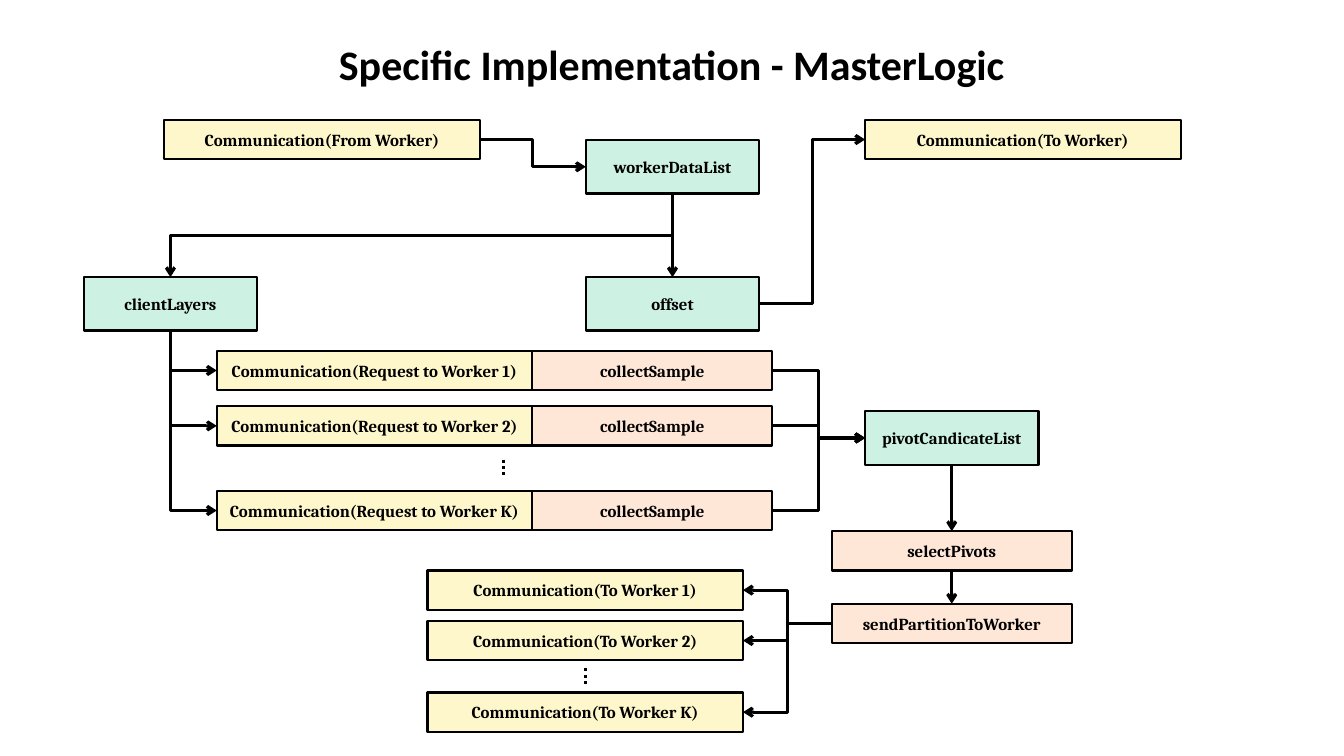
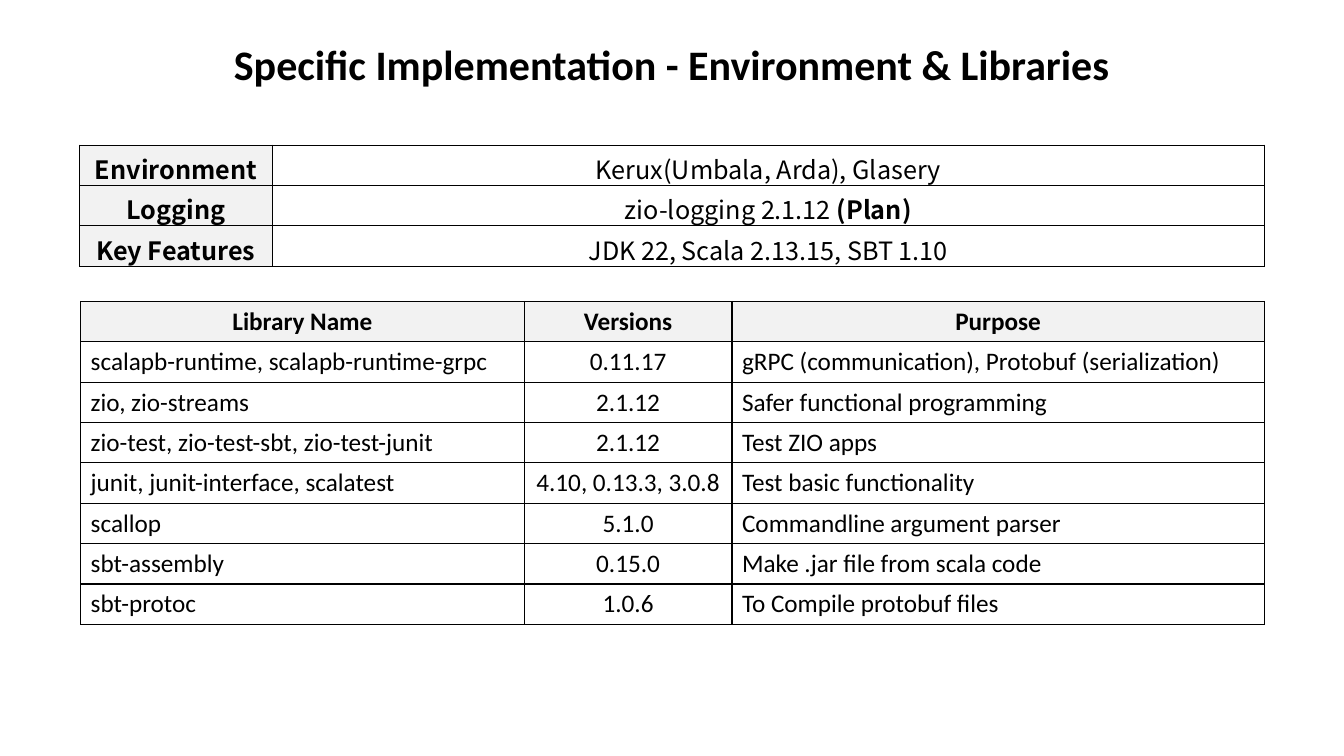
from pptx import Presentation
from pptx.dml.color import RGBColor
from pptx.enum.dml import MSO_LINE
from pptx.enum.shapes import MSO_CONNECTOR, MSO_SHAPE
from pptx.enum.text import MSO_ANCHOR, MSO_AUTO_SIZE, PP_ALIGN
from pptx.oxml.ns import qn
from pptx.util import Inches, Pt
from lxml.etree import SubElement

# Shared style
BLACK, HEADER_FILL = "000000", "F2F2F2"
TITLE_FONT, BOX_FONT, ENV_FONT = "Calibri", "Cambria", "Noto Sans CJK KR"
TOP, LEFT, BOTTOM, RIGHT = range(4)

# Box kinds: fill, width, height
KINDS = {
    "data": ("CDF2E4", 1.72, 0.53),
    "message": ("FFF7CC", 3.13, 0.39),
    "step": ("FFE7D8", 2.38, 0.39),
}

# Master logic diagram: text, kind, left, top
BOXES = [
    ("Communication(From Worker)", "message", 1.63, 1.19),
    ("Communication(To Worker)", "message", 8.58, 1.19),
    ("workerDataList", "data", 5.81, 1.39),
    ("clientLayers", "data", 0.83, 2.75),
    ("offset", "data", 5.81, 2.75),
    ("pivotCandicateList", "data", 8.58, 4.08),
    ("selectPivots", "step", 8.25, 5.27),
    ("sendPartitionToWorker", "step", 8.25, 5.99),
]
# Per worker: name, top of the request row, top of the reply row
WORKERS = [("1", 3.48, 5.66), ("2", 4.03, 6.16), ("K", 4.87, 6.87)]
REQUEST_LEFT, SAMPLE_LEFT, REPLY_LEFT = 2.15, 5.28, 4.24
# Dotted gaps between workers: x, top, bottom
ELLIPSES = [(4.99, 4.56, 4.73), (5.81, 6.63, 6.79)]
# Arrows: from, side, to, side
SIDE_ARROWS = [
    ("Communication(From Worker)", RIGHT, "workerDataList", LEFT),
    ("offset", RIGHT, "Communication(To Worker)", LEFT),
]
DOWN_ARROWS = [
    ("workerDataList", "offset"),
    ("pivotCandicateList", "selectPivots"),
    ("selectPivots", "sendPartitionToWorker"),
]

# Tables
ENVIRONMENT = [
    ("Environment", "Kerux(Umbala, Arda), Glasery"),
    ("Logging", ("zio-logging 2.1.12 ", "(Plan)")),
    ("Key Features", "JDK 22, Scala 2.13.15, SBT 1.10"),
]
LIBRARIES = [
    ("Library Name", "Versions", "Purpose"),
    ("scalapb-runtime, scalapb-runtime-grpc", "0.11.17",
     "gRPC (communication), Protobuf (serialization)"),
    ("zio, zio-streams", "2.1.12", "Safer functional programming"),
    ("zio-test, zio-test-sbt, zio-test-junit", "2.1.12", "Test ZIO apps"),
    ("junit, junit-interface, scalatest", "4.10, 0.13.3, 3.0.8", "Test basic functionality"),
    ("scallop", "5.1.0", "Commandline argument parser"),
    ("sbt-assembly", "0.15.0", "Make .jar file from scala code"),
    ("sbt-protoc", "1.0.6", "To Compile protobuf files"),
]


def color(value):
    return RGBColor.from_string(value)


def format_run(r, font, size, bold):
    r.font.name, r.font.size, r.font.bold = font, Pt(size), bold
    r.font.color.rgb = color(BLACK)


def add_slide(prs, title):
    s = prs.slides.add_slide(prs.slide_layouts[6])
    tf = s.shapes.add_textbox(Inches(0.55), Inches(0.33), Inches(12.23), Inches(0.6)).text_frame
    tf.word_wrap = True
    tf.auto_size = MSO_AUTO_SIZE.SHAPE_TO_FIT_TEXT
    tf.text = title
    p = tf.paragraphs[0]
    p.alignment = PP_ALIGN.CENTER
    format_run(p.runs[0], TITLE_FONT, 30, True)
    return s


def add_box(s, text, kind, left, top):
    fill, width, height = KINDS[kind]
    sp = s.shapes.add_shape(MSO_SHAPE.RECTANGLE, Inches(left), Inches(top),
                            Inches(width), Inches(height))
    sp.shadow.inherit = False
    sp.fill.solid()
    sp.fill.fore_color.rgb = color(fill)
    sp.line.color.rgb = color(BLACK)
    sp.line.width = Pt(1.5)
    tf = sp.text_frame
    tf.text = text
    tf.vertical_anchor = MSO_ANCHOR.MIDDLE
    p = tf.paragraphs[0]
    p.alignment = PP_ALIGN.CENTER
    format_run(p.runs[0], BOX_FONT, 12, True)
    return sp


def style_line(c):
    c.line.color.rgb = color(BLACK)
    c.line.width = Pt(2.25)
    SubElement(c._element.spPr, qn("a:effectLst"))


def add_arrow(s, start, start_side, end, end_side, kind=MSO_CONNECTOR.ELBOW):
    c = s.shapes.add_connector(kind, 0, 0, 0, 0)
    c.begin_connect(start, start_side)
    c.end_connect(end, end_side)
    style_line(c)
    SubElement(c.line._get_or_add_ln(), qn("a:tailEnd"), type="arrow")
    return c


def turn_down(c, preset):
    """Make an elbow leave its start downwards: a quarter turn of the preset."""
    dx, dy = c.end_x - c.begin_x, c.end_y - c.begin_y
    mid_x, mid_y = (c.begin_x + c.end_x) // 2, (c.begin_y + c.end_y) // 2
    c.width, c.height = dy, abs(dx)
    c.left, c.top = mid_x - dy // 2, mid_y - abs(dx) // 2
    xfrm = c._element.spPr.find(qn("a:xfrm"))
    xfrm.set("rot", "5400000")
    xfrm.set("flipH", "0")
    xfrm.set("flipV", "1" if dx > 0 else "0")
    c._element.spPr.find(qn("a:prstGeom")).set("prst", preset)


def add_table(s, rows, left, top, widths, row_height, font, is_header, is_centered):
    frame = s.shapes.add_table(len(rows), len(widths), Inches(left), Inches(top),
                               Inches(sum(widths)), Inches(row_height * len(rows)))
    table = frame.table
    table.first_row = table.horz_banding = False
    for column, width in zip(table.columns, widths):
        column.width = Inches(width)
    for i, row in enumerate(rows):
        for j, content in enumerate(row):
            cell = table.cell(i, j)
            header = is_header(i, j)
            p = cell.text_frame.paragraphs[0]
            p.alignment = PP_ALIGN.CENTER if is_centered(i, j) else PP_ALIGN.LEFT
            parts = (content,) if isinstance(content, str) else content
            for k, part in enumerate(parts):
                r = p.add_run()
                r.text = part
                format_run(r, font, 18, header or k > 0)
            add_borders(cell)
            if header:
                cell.fill.solid()
                cell.fill.fore_color.rgb = color(HEADER_FILL)
            else:
                cell.fill.background()
    return table


def add_borders(cell):
    for side in ("lnL", "lnR", "lnT", "lnB"):
        ln = SubElement(cell._tc.get_or_add_tcPr(), qn(f"a:{side}"), w=str(Pt(1)))
        SubElement(SubElement(ln, qn("a:solidFill")), qn("a:srgbClr"), val=BLACK)


def build_master_logic(prs):
    s = add_slide(prs, "Specific Implementation - MasterLogic")
    boxes = {box[0]: add_box(s, *box) for box in BOXES}

    # Arrows between the fixed boxes
    for start, start_side, end, end_side in SIDE_ARROWS:
        add_arrow(s, boxes[start], start_side, boxes[end], end_side)
    for start, end in DOWN_ARROWS:
        add_arrow(s, boxes[start], BOTTOM, boxes[end], TOP, MSO_CONNECTOR.STRAIGHT)
    layers = boxes["clientLayers"]
    turn_down(add_arrow(s, boxes["workerDataList"], BOTTOM, layers, TOP), "bentConnector3")

    # Request, sample and reply of each worker
    for name, request_top, reply_top in WORKERS:
        request = add_box(s, f"Communication(Request to Worker {name})", "message",
                          REQUEST_LEFT, request_top)
        sample = add_box(s, "collectSample", "step", SAMPLE_LEFT, request_top)
        reply = add_box(s, f"Communication(To Worker {name})", "message", REPLY_LEFT, reply_top)
        turn_down(add_arrow(s, layers, BOTTOM, request, LEFT), "bentConnector2")
        add_arrow(s, sample, RIGHT, boxes["pivotCandicateList"], LEFT)
        add_arrow(s, boxes["sendPartitionToWorker"], LEFT, reply, RIGHT)

    # Dotted gaps
    for x, top, bottom in ELLIPSES:
        c = s.shapes.add_connector(MSO_CONNECTOR.STRAIGHT, Inches(x), Inches(top),
                                   Inches(x), Inches(bottom))
        style_line(c)
        c.line.dash_style = MSO_LINE.ROUND_DOT


def build_environment(prs):
    s = add_slide(prs, "Specific Implementation - Environment & Libraries")
    add_table(s, LIBRARIES, 0.8, 2.99, (4.4, 2.06, 5.28), 0.4, TITLE_FONT,
              is_header=lambda i, j: i == 0,
              is_centered=lambda i, j: i == 0 or j == 1)
    table = add_table(s, ENVIRONMENT, 0.79, 1.44, (1.91, 9.84), 0.4, ENV_FONT,
                      is_header=lambda i, j: j == 0,
                      is_centered=lambda i, j: True)
    for cell in table.iter_cells():
        cell.margin_bottom = 0


def main():
    prs = Presentation()
    prs.slide_width, prs.slide_height = Inches(13.33), Inches(7.5)
    build_master_logic(prs)
    build_environment(prs)
    prs.save("out.pptx")


if __name__ == "__main__":
    main()
